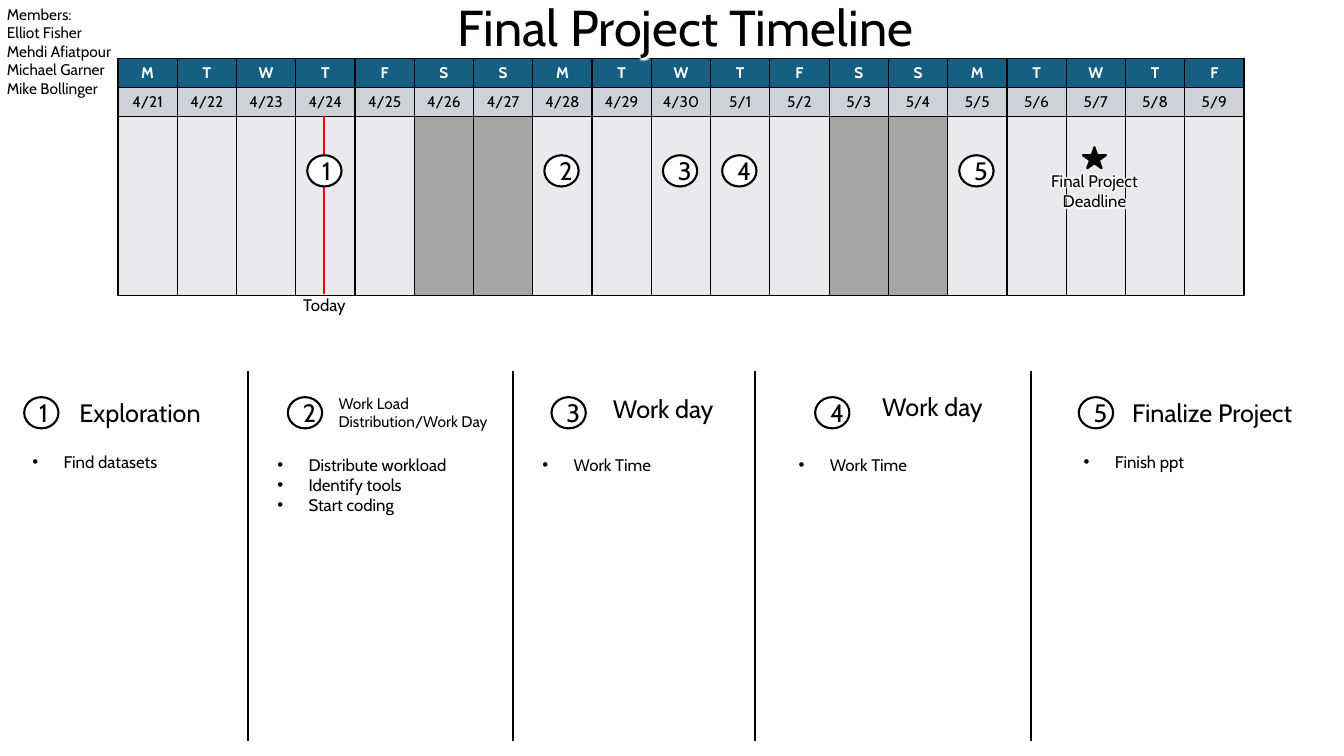
import itertools
import pptx
import pptx.dml.color
import pptx.enum.shapes
import pptx.enum.text
import pptx.oxml
import pptx.oxml.ns
import pptx.util

Inches = pptx.util.Inches
RGBColor = pptx.dml.color.RGBColor
Align = pptx.enum.text.PP_ALIGN
Anchor = pptx.enum.text.MSO_ANCHOR
ShapeType = pptx.enum.shapes.MSO_SHAPE

BLACK = RGBColor(0x00, 0x00, 0x00)
WHITE = RGBColor(0xFF, 0xFF, 0xFF)
RED = RGBColor(0xFF, 0x00, 0x00)
HEADER_BLUE = RGBColor(0x15, 0x60, 0x82)
DATE_GRAY = RGBColor(0xCC, 0xD2, 0xD8)
WEEKDAY_GRAY = RGBColor(0xE8, 0xEA, 0xED)
WEEKEND_GRAY = RGBColor(0xA6, 0xA6, 0xA6)

CALENDAR_LEFT, CALENDAR_TOP, CALENDAR_WIDTH = 1.17, 0.58, 11.17
ROW_HEIGHTS = [0.29, 0.29, 1.77]
DATES = [f"4/{day}" for day in range(21, 31)] + [f"5/{day}" for day in range(1, 10)]
WEEKDAYS = list(itertools.islice(itertools.cycle("MTWTFSS"), len(DATES)))
COLUMN_WIDTH = CALENDAR_WIDTH / len(DATES)
MILESTONE_DATES = ["4/24", "4/28", "4/30", "5/1", "5/5"]
PHASES = [
    ("Exploration", 18, (0.69, 3.89, 1.44, 0.4), (0.22, 4.43), ["Find datasets"]),
    ("Work Load Distribution/Work Day", 11, (3.26, 3.86, 1.85, 0.47), (2.65, 4.46),
     ["Distribute workload", "Identify tools", "Start coding"]),
    ("Work day", 18, (5.98, 3.85, 1.44, 0.4), (5.28, 4.46), ["Work Time"]),
    ("Work day", 18, (8.65, 3.83, 1.44, 0.4), (7.82, 4.46), ["Work Time"]),
    ("Finalize Project", 18, (11.13, 3.89, 1.85, 0.4), (10.65, 4.43), ["Finish ppt"]),
]
MEMBERS = ["Members:", "Elliot Fisher", "Mehdi Afiatpour", "Michael Garner", "Mike Bollinger"]


def xml_element(body):
    tag, rest = body.split(" ", 1)
    return pptx.oxml.parse_xml(f'<a:{tag} {pptx.oxml.ns.nsdecls("a")} {rest}')


def date_center(date):
    return CALENDAR_LEFT - 0.01 + COLUMN_WIDTH * (DATES.index(date) + 0.5)


class TimelineSlide:
    font_name = "Cabin"
    line_width = pptx.util.Pt(1.5)

    def __init__(self, presentation):
        self.slide = presentation.slides.add_slide(presentation.slide_layouts[4])
        self.shapes = self.slide.shapes
        self.bodies = iter([shape for shape in self.slide.placeholders
                            if shape.placeholder_format.idx in (1, 2, 3, 4)])

    def format_text(self, text_frame, size, align=Align.LEFT, color=BLACK, bold=False):
        for paragraph in text_frame.paragraphs:
            paragraph.alignment = align
            paragraph.space_before = pptx.util.Pt(0)
            for run in paragraph.runs:
                run.font.name = self.font_name
                run.font.size = pptx.util.Pt(size)
                run.font.bold = bold
                run.font.color.rgb = color

    def fill_frame(self, shape, box, text, size, align=Align.LEFT, margins=True, glow=False):
        shape.left, shape.top, shape.width, shape.height = map(Inches, box)
        frame = shape.text_frame
        frame.text = text
        frame.word_wrap = True
        frame.auto_size = pptx.enum.text.MSO_AUTO_SIZE.SHAPE_TO_FIT_TEXT
        frame.vertical_anchor = Anchor.TOP
        if not margins:
            frame.margin_left = frame.margin_right = frame.margin_top = frame.margin_bottom = 0
        self.format_text(frame, size, align)
        if glow:
            for paragraph in frame.paragraphs:
                for run in paragraph.runs:
                    fill = run.font.fill._xPr.find(pptx.oxml.ns.qn("a:solidFill"))
                    fill.addnext(xml_element(
                        'effectLst ><a:glow rad="63500"><a:srgbClr val="FFFFFF"/></a:glow></a:effectLst>'))
        return shape

    def text(self, box, text, size, **options):
        textbox = self.shapes.add_textbox(0, 0, 0, 0)
        return self.fill_frame(textbox, box, text, size, **options)

    def title(self, box, text):
        title = self.shapes.title
        title.element.getparent().append(title.element)
        self.fill_frame(title, box, text, 36, align=Align.CENTER, margins=False, glow=True)

    def bullets(self, left, top, items):
        shape = next(self.bodies, None) or self.shapes.add_textbox(0, 0, 0, 0)
        box = (left, top, 2.14, 0.1 + 0.2 * len(items))
        self.fill_frame(shape, box, "\n".join(items), 12)
        for paragraph in shape.text_frame.paragraphs:
            properties = paragraph._p.get_or_add_pPr()
            properties.set("marL", str(Inches(0.31)))
            properties.set("indent", str(Inches(-0.31)))
            properties.append(xml_element('buFont typeface="Arial"/>'))
            properties.append(xml_element('buChar char="•"/>'))

    def shape(self, shape_type, box, fill):
        shape = self.shapes.add_shape(shape_type, *map(Inches, box))
        shape.shadow.inherit = False
        shape.fill.solid()
        shape.fill.fore_color.rgb = fill
        shape.line.color.rgb = BLACK
        shape.line.width = self.line_width
        return shape

    def marker(self, left, top, number):
        marker = self.shape(ShapeType.OVAL, (left, top, 0.34, 0.31), WHITE)
        marker.text_frame.text = str(number)
        self.format_text(marker.text_frame, 18, Align.CENTER)

    def vertical_line(self, x, top, bottom, color):
        line = self.shapes.add_connector(
            pptx.enum.shapes.MSO_CONNECTOR.STRAIGHT, Inches(x), Inches(top), Inches(x), Inches(bottom))
        line.line.color.rgb = color
        line.line.width = self.line_width
        line._element.spPr.append(xml_element("effectLst />"))

    def cell(self, cell, text, fill, color, bold):
        cell.text = text
        cell.vertical_anchor = Anchor.MIDDLE
        cell.margin_left = cell.margin_right = cell.margin_top = cell.margin_bottom = Inches(0.02)
        self.format_text(cell.text_frame, 11, Align.CENTER, color, bold)
        properties = cell._tc.get_or_add_tcPr()
        for side in "LRTB":
            properties.append(xml_element(
                f'ln{side} w="12700"><a:solidFill><a:srgbClr val="{BLACK}"/></a:solidFill></a:ln{side}>'))
        cell.fill.solid()
        cell.fill.fore_color.rgb = fill

    def calendar(self):
        table = self.shapes.add_table(
            len(ROW_HEIGHTS), len(DATES), Inches(CALENDAR_LEFT), Inches(CALENDAR_TOP),
            Inches(CALENDAR_WIDTH), Inches(sum(ROW_HEIGHTS))).table
        for row, height in zip(table.rows, ROW_HEIGHTS):
            row.height = Inches(height)
        for column, (weekday, date) in enumerate(zip(WEEKDAYS, DATES)):
            table.columns[column].width = Inches(COLUMN_WIDTH)
            day_fill = WEEKEND_GRAY if weekday == "S" else WEEKDAY_GRAY
            self.cell(table.cell(0, column), weekday, HEADER_BLUE, WHITE, True)
            self.cell(table.cell(1, column), date, DATE_GRAY, BLACK, False)
            self.cell(table.cell(2, column), "", day_fill, BLACK, False)


def main():
    presentation = pptx.Presentation()
    presentation.slide_width = Inches(13.33)
    presentation.slide_height = Inches(7.5)
    timeline = TimelineSlide(presentation)

    timeline.calendar()
    deadline = date_center("5/7")
    timeline.shape(ShapeType.STAR_5_POINT, (deadline - 0.12, 1.46, 0.23, 0.21), BLACK)
    timeline.text((deadline - 0.5, 1.69, 0.99, 0.4), "Final Project\nDeadline", 12,
                  align=Align.CENTER, margins=False, glow=True)
    today = date_center("4/24")
    timeline.vertical_line(today, 1.15, 2.92, RED)
    timeline.text((today - 0.63, 2.92, 1.26, 0.2), "Today", 12,
                  align=Align.CENTER, margins=False, glow=True)
    for number, date in enumerate(MILESTONE_DATES, 1):
        timeline.marker(date_center(date) - 0.17, 1.54, number)
    timeline.title((2.73, -0.04, 8.14, 0.61), "Final Project Timeline")

    for index, (heading, size, heading_box, list_corner, items) in enumerate(PHASES):
        timeline.marker(0.24 + 2.615 * index, 3.94, index + 1)
        timeline.text(heading_box, heading, size)
        timeline.bullets(*list_corner, items)
    for x in (2.46, 5.09, 7.49, 10.23):
        timeline.vertical_line(x, 3.68, 7.35, BLACK)
    timeline.text((-0.03, 0, 1.44, 1.03), "\n".join(MEMBERS), 11)

    presentation.save("out.pptx")


if __name__ == "__main__":
    main()
